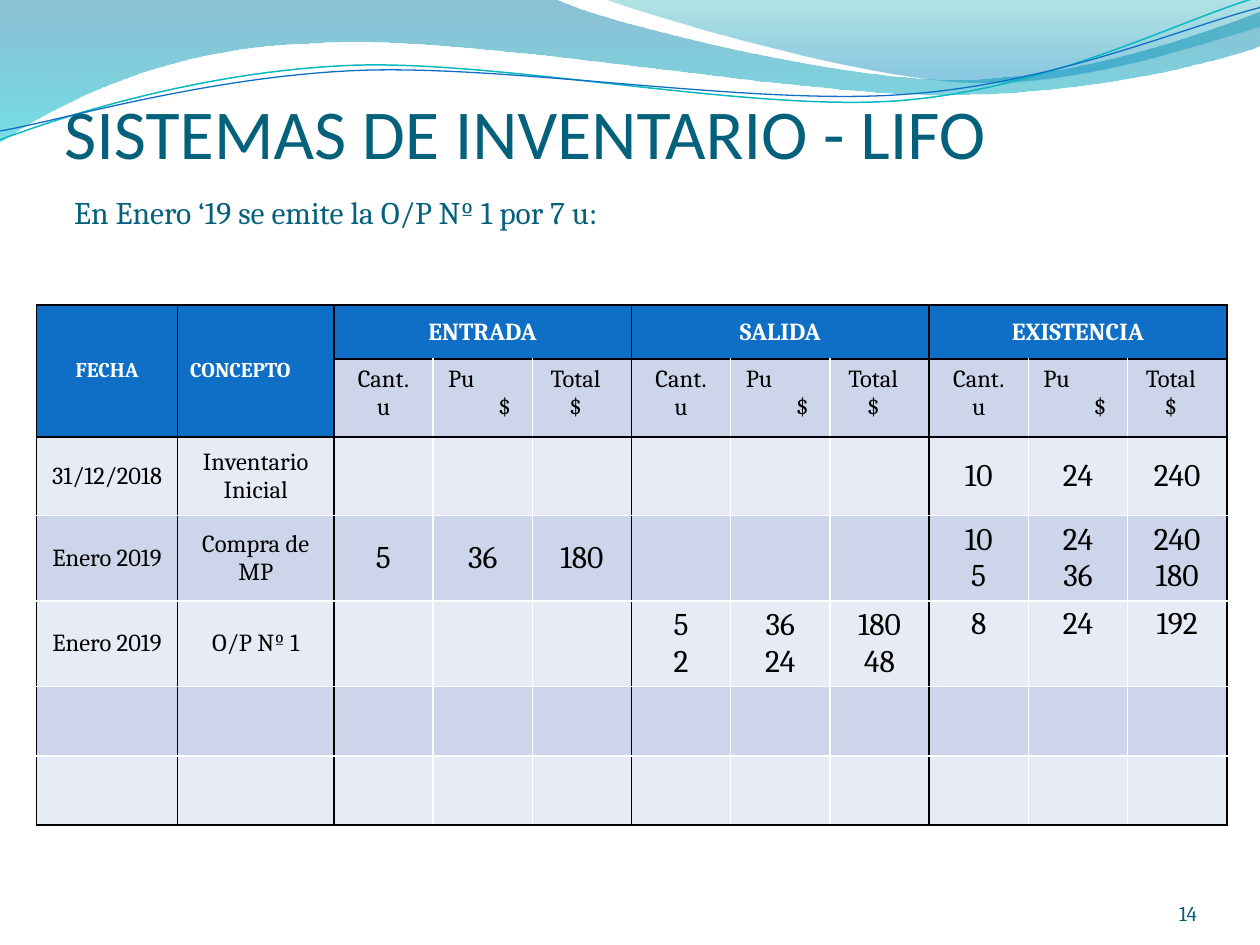
from dataclasses import dataclass

from lxml import etree
from pptx import Presentation
from pptx.dml.color import RGBColor
from pptx.enum.text import MSO_ANCHOR, MSO_AUTO_SIZE, PP_ALIGN
from pptx.oxml.ns import qn
from pptx.util import Inches, Pt

LEFT, MID, RIGHT = PP_ALIGN.LEFT, PP_ALIGN.CENTER, PP_ALIGN.RIGHT
TOP, CENTER, BOTTOM = MSO_ANCHOR.TOP, MSO_ANCHOR.MIDDLE, MSO_ANCHOR.BOTTOM
FIXED = MSO_AUTO_SIZE.NONE


@dataclass(frozen=True)
class Theme:
    head: str = "Calibri"
    body: str = "Cambria"
    title: str = "04617B"
    number: str = "045D75"
    blue: str = "0F6FC6"
    teal: str = "0AB8BF"
    dark: str = "CCD5EA"
    light: str = "E7EBF5"
    black: str = "000000"
    white: str = "FFFFFF"
    huge: int = 40
    large: int = 18
    normal: int = 14
    small: int = 12


THEME = Theme()

BANDS = [
    ([(0, 0), (4.4, -0.01),
      (4.76, 0.17, 6.64, 0.63, 7.58, 0.63), (8.53, 0.63, 9.58, 0.26, 10, 0.09),
      (10.01, 0.36),
      (9.83, 0.44, 8.7, 0.76, 7.46, 0.75), (6.22, 0.75, 3.82, 0.28, 2.57, 0.34),
      (1.29, 0.36, 0.46, 0.83, -0.01, 1.13)],
     [(0, "0074A1", 45), (1, "00C6CF", 55)]),
    ([(4.79, -0.01),
      (5.09, 0.11, 6.82, 0.62, 7.69, 0.65), (8.56, 0.69, 9.61, 0.32, 10, 0.21),
      (10, 0)],
     [(0, "00A1A9", 30), (0.8, "008BBF", 45)]),
]
CURVES = [
    ([(0, 1.11), (0.48, 0.93, 1.58, 0.57, 2.77, 0.52),
      (3.95, 0.47, 5.93, 0.89, 7.13, 0.8), (8.33, 0.71, 9.38, 0.15, 9.98, -0.02)],
     THEME.teal, 0.85),
    ([(0, 1.04), (0.47, 0.96, 1.64, 0.61, 2.83, 0.56),
      (4.03, 0.51, 5.97, 0.84, 7.17, 0.75), (8.36, 0.67, 9.41, 0.21, 10, 0.06)],
     THEME.blue, 0.75),
]

GROUPS = ["ENTRADA", "SALIDA", "EXISTENCIA"]
UNITS = ["Cant.\nu", "Pu\n$", "Total $"]
PADS = {"Pu\n$": (0.12, 0.17), "Total $": (0.1, 0.2)}
ALIGNS = {"CONCEPTO": LEFT, "Pu": LEFT, "$": RIGHT}
HEADS = 2
ROWS = [
    ["FECHA", "CONCEPTO"] + [t for g in GROUPS for t in (g, "", "")],
    ["", ""] + UNITS * len(GROUPS),
    ["31/12/2018", "Inventario Inicial", "", "", "", "", "", "", "10", "24", "240"],
    ["Enero 2019", "Compra de MP", "5", "36", "180", "", "", "",
     "10\n5", "24\n36", "240\n180"],
    ["Enero 2019", "O/P Nº 1", "", "", "", "5\n2", "36\n24", "180 48",
     "8", "24", "192"],
    [""] * 11,
    [""] * 11,
]
HEIGHTS = [0.43, 0.62, 0.62, 0.67, 0.67, 0.55, 0.55]
LABELS = [1.12, 1.24]


def color(code):
    return RGBColor.from_string(code)


def style(para, size, tint, face=THEME.body, bold=False, align=LEFT):
    para.alignment = align
    font = para.font
    font.name, font.size, font.bold = face, Pt(size), bold
    font.color.rgb = color(tint)


def bend(shape, steps):
    route = next(shape._element.iter(qn("a:path")))
    lines = iter(route.findall(qn("a:lnTo")))
    for step in steps[1:]:
        group = [next(lines) for _ in range(len(step) // 2)]
        if len(group) == 3:
            curve = etree.Element(qn("a:cubicBezTo"))
            group[0].addprevious(curve)
            for line in group:
                curve.append(line[0])
                route.remove(line)


def draw(slide, left, top, steps, close):
    spots = [(left + Inches(step[i]), top + Inches(step[i + 1]))
             for step in steps for i in range(0, len(step), 2)]
    pen = slide.shapes.build_freeform(*spots[0])
    pen.add_line_segments(spots[1:], close=close)
    shape = pen.convert_to_shape()
    shape.shadow.inherit = False
    bend(shape, steps)
    return shape


def add_waves(slide, left, top):
    for steps, stops in BANDS:
        band = draw(slide, left, top, steps, True)
        band.line.fill.background()
        band.fill.gradient()
        band.fill.gradient_angle = 270
        for stop, (place, tint, _) in zip(band.fill.gradient_stops, stops):
            stop.position = place
            stop.color.rgb = color(tint)
        for node, (_, _, alpha) in zip(band._element.iter(qn("a:srgbClr")), stops):
            etree.SubElement(node, qn("a:alpha"), val=str(alpha * 1000))
    for steps, tint, width in CURVES:
        curve = draw(slide, left, top, steps, False)
        curve.fill.background()
        curve.line.color.rgb = color(tint)
        curve.line.width = Pt(width)


def add_title(slide, left, top, width, height):
    title = slide.shapes.title
    slide.shapes._spTree.append(title._element)
    title.left, title.top, title.width, title.height = left, top, width, height
    title.text = "SISTEMAS DE INVENTARIO - LIFO"
    frame = title.text_frame
    frame.auto_size, frame.vertical_anchor = FIXED, TOP
    frame.margin_left = frame.margin_right = frame.margin_bottom = 0
    style(frame.paragraphs[0], THEME.huge, THEME.title, THEME.head)


def add_text(slide, left, top, width, height, text, size, tint, align=LEFT):
    frame = slide.shapes.add_textbox(left, top, width, height).text_frame
    frame.word_wrap = True
    frame.text = text
    style(frame.paragraphs[0], size, tint, align=align)
    return frame


def add_edges(cell, row, col):
    right, base = col + cell.span_width, row + cell.span_height
    walls, floors = (0, 1, 2, 5, 8, 11), (0, 1, 2, len(ROWS))
    edges = [("L", col in walls), ("R", right in walls),
             ("T", row in floors), ("B", base in floors)]
    props = cell._tc.get_or_add_tcPr()
    for i, (side, solid) in enumerate(edges):
        line = etree.Element(qn("a:ln" + side), w=str(Pt(1)))
        fill = etree.SubElement(line, qn("a:solidFill"))
        etree.SubElement(fill, qn("a:srgbClr"), val=THEME.black if solid else THEME.white)
        props.insert(i, line)


def fill_cell(cell, row, col, text):
    head, label = row == 0, col < len(LABELS)
    band = THEME.blue if head else THEME.dark if row % 2 else THEME.light
    cell.fill.solid()
    cell.fill.fore_color.rgb = color(band)
    add_edges(cell, row, col)
    high = row == 1 or (row == 4 and col >= 8)
    cell.vertical_anchor = TOP if high else CENTER
    if row >= HEADS:
        cell.margin_top = cell.margin_bottom = Inches(0.04)
    if text in PADS:
        cell.margin_left, cell.margin_right = map(Inches, PADS[text])
    if text == "180 48":
        cell.margin_left = cell.margin_right = Inches(0.15)
    if head:
        size = THEME.small if label else THEME.normal
    else:
        size = THEME.normal if row < HEADS or label else THEME.large
    cell.text = text
    for para in cell.text_frame.paragraphs:
        style(para, size, THEME.white if head else THEME.black, bold=head,
              align=ALIGNS.get(para.text, MID))


def add_stock(slide, left, top, width):
    count = len(ROWS[0])
    table = slide.shapes.add_table(len(ROWS), count, left, top, width,
                                   Inches(sum(HEIGHTS))).table
    rest = (width - Inches(sum(LABELS))) // (count - len(LABELS))
    for col in range(count):
        table.columns[col].width = Inches(LABELS[col]) if col < len(LABELS) else rest
    for row, height in enumerate(HEIGHTS):
        table.rows[row].height = Inches(height)
    for col in range(len(LABELS)):
        table.cell(0, col).merge(table.cell(1, col))
    for col in range(len(LABELS), count, len(UNITS)):
        table.cell(0, col).merge(table.cell(0, col + len(UNITS) - 1))
    for row, texts in enumerate(ROWS):
        for col, text in enumerate(texts):
            cell = table.cell(row, col)
            if not cell.is_spanned:
                fill_cell(cell, row, col, text)


def main():
    deck = Presentation()
    deck.slide_width, deck.slide_height = Inches(10), Inches(7.5)
    slide = deck.slides.add_slide(deck.slide_layouts[5])
    add_waves(slide, Inches(0), Inches(0))
    add_title(slide, Inches(0.51), Inches(0.66), Inches(9), Inches(1.25))
    number = add_text(slide, Inches(8.67), Inches(6.95), Inches(0.83), Inches(0.4),
                      "14", THEME.small, THEME.number, RIGHT)
    number.vertical_anchor = BOTTOM
    number.margin_left = number.margin_right = 0
    number.margin_top = number.margin_bottom = 0
    add_stock(slide, Inches(0.29), Inches(2.42), Inches(9.45))
    add_text(slide, Inches(0.49), Inches(1.48), Inches(8.83), Inches(0.4),
             "En Enero ‘19 se emite la O/P Nº 1 por 7 u:", THEME.large, THEME.title)
    deck.save("out.pptx")


if __name__ == "__main__":
    main()
